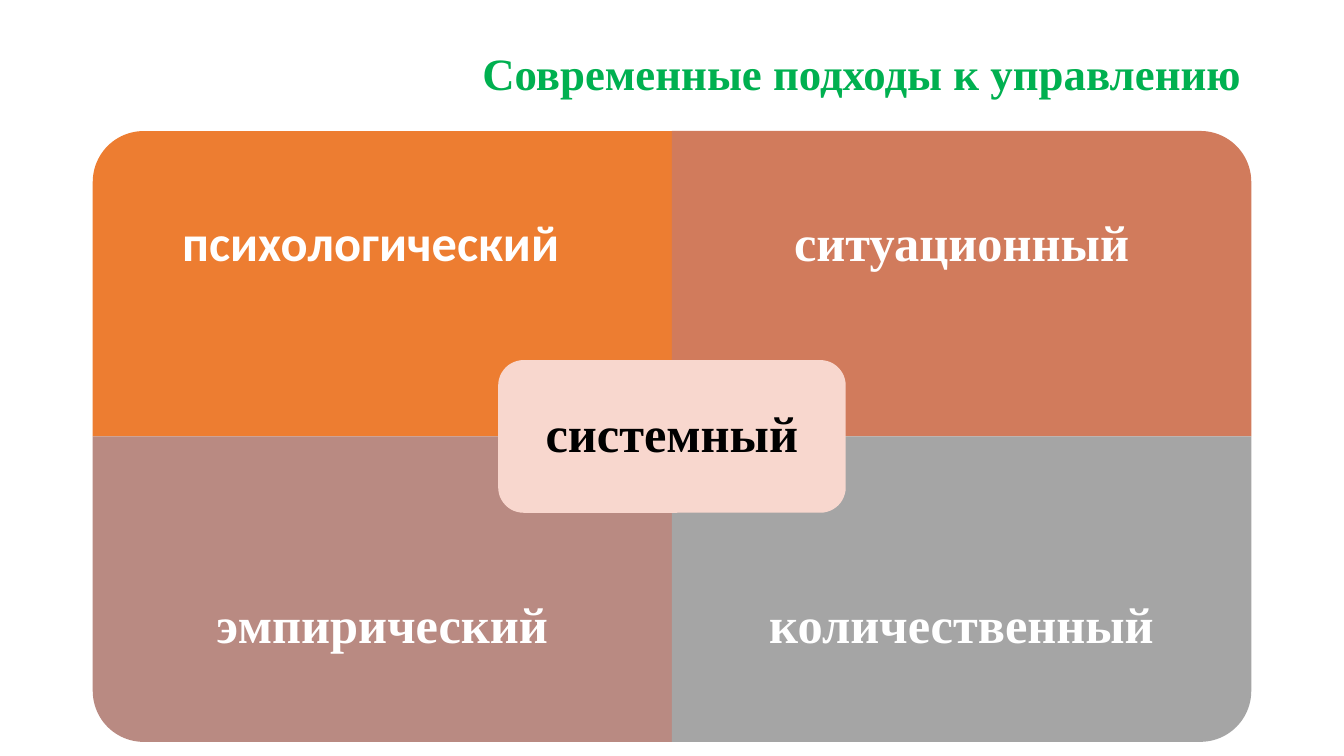
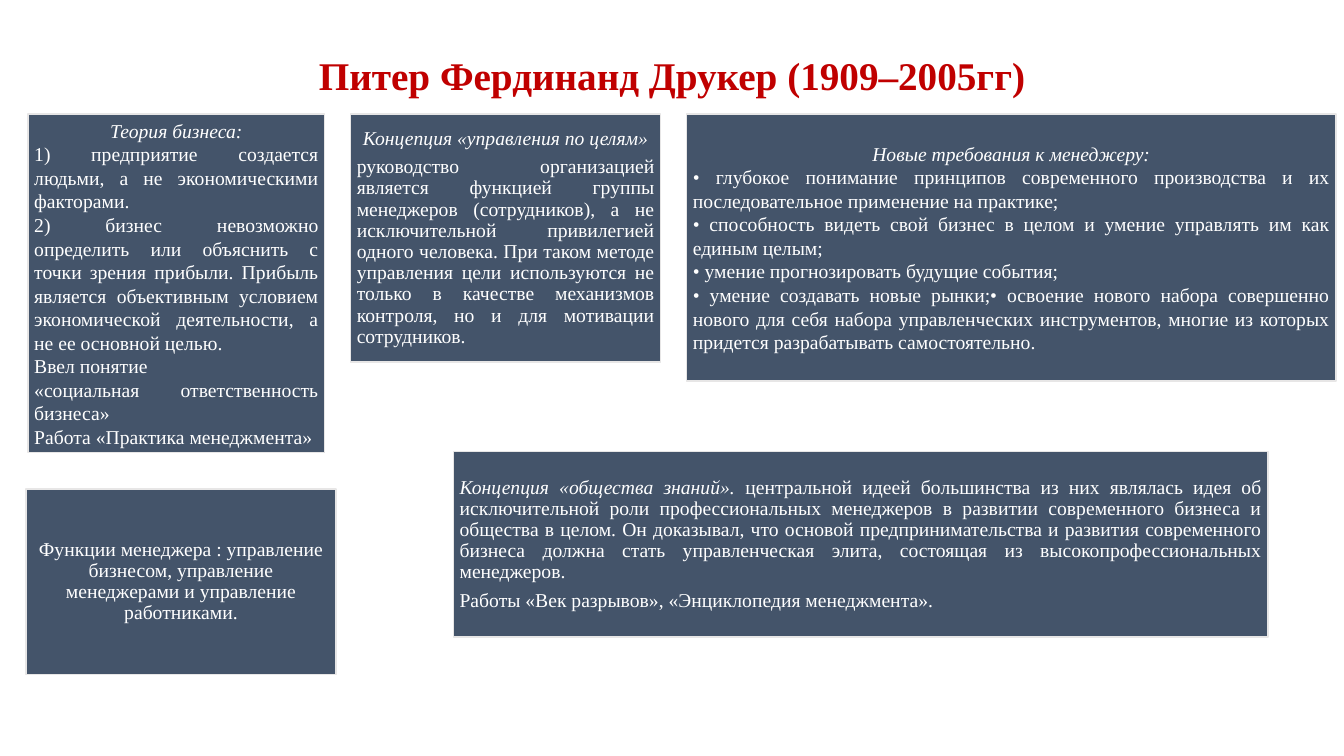
from pptx import Presentation
from pptx.dml.color import RGBColor
from pptx.enum.shapes import MSO_SHAPE
from pptx.enum.text import MSO_ANCHOR, PP_ALIGN
from pptx.util import Inches, Pt

GREEN = RGBColor(0x00, 0xB0, 0x50)
RED = RGBColor(0xC0, 0x00, 0x00)
ORANGE = RGBColor(0xED, 0x7D, 0x31)
TERRACOTTA = RGBColor(0xD1, 0x7B, 0x5C)
ROSE = RGBColor(0xB9, 0x8A, 0x82)
GREY = RGBColor(0xA5, 0xA5, 0xA5)
PINK = RGBColor(0xF8, 0xD7, 0xCE)
SLATE = RGBColor(0x44, 0x54, 0x6A)
PALE = RGBColor(0xE7, 0xE6, 0xE6)
WHITE = RGBColor(0xFF, 0xFF, 0xFF)
BLACK = RGBColor(0x00, 0x00, 0x00)

SERIF, SANS = "Times New Roman", "Calibri"
CENTER, RIGHT, JUSTIFY = PP_ALIGN.CENTER, PP_ALIGN.RIGHT, PP_ALIGN.JUSTIFY

TITLE = {"name": SERIF, "size": Pt(32), "bold": True}
LABEL = {"name": SERIF, "size": Pt(36), "bold": True}
BODY = {"name": SERIF, "size": Pt(14)}
TIGHT = {"line_spacing": 0.9}
SPACED = {"line_spacing": 0.9, "space_after": Pt(5)}
SINGLE = {"line_spacing": 1.0}


class Slides:
    """Holds the style and the current page; places are percent of the page."""

    def __init__(self):
        self.deck = Presentation()
        self.deck.slide_width, self.deck.slide_height = Inches(13.33), Inches(7.5)
        self.page = None

    def new_page(self):
        self.page = self.deck.slides.add_slide(self.deck.slide_layouts[6])

    def place(self, left, top, width, height):
        across, down = self.deck.slide_width / 100, self.deck.slide_height / 100
        return [round(share * unit) for share, unit in
                zip((left, top, width, height), (across, down, across, down))]

    def fill_text(self, box, paragraphs, font, color, spacing, insets):
        """Fill a box from (alignment, italic text, upright text) paragraphs."""
        frame = box.text_frame
        frame.word_wrap = True
        frame.vertical_anchor = MSO_ANCHOR.MIDDLE
        for side, inset in zip(("left", "top", "right", "bottom"), insets):
            setattr(frame, f"margin_{side}", Inches(inset))
        for index, (alignment, italic_text, upright_text) in enumerate(paragraphs):
            para = frame.add_paragraph() if index else frame.paragraphs[0]
            for key, value in {"alignment": alignment, **spacing}.items():
                setattr(para, key, value)
            for text, italic in ((italic_text, True), (upright_text, False)):
                if text:
                    span = para.add_run()
                    span.text = text
                    for key, value in {**font, "italic": italic}.items():
                        setattr(span.font, key, value)
                    span.font.color.rgb = color

    def shape(self, kind, place, fill, line=None):
        box = self.page.shapes.add_shape(kind, *place)
        box.shadow.inherit = False
        box.fill.solid()
        box.fill.fore_color.rgb = fill
        if line is None:
            box.line.fill.background()
        else:
            box.line.color.rgb = line
            box.line.width = Pt(1)
        return box

    def title(self, text, color, alignment, size, height):
        box = self.page.shapes.add_textbox(*self.place(6.9, 5.3, 86.2, height))
        self.fill_text(box, [(alignment, "", text)], {**TITLE, "size": Pt(size)},
                       color, TIGHT, (0.1, 0.05, 0.1, 0.05))

    def quadrant(self, area, rotation, fill):
        """Cover an area with a one-round-corner shape turned outwards."""
        left, top, width, height = self.place(*area)
        if rotation % 180:
            shift = (width - height) // 2
            left, top, width, height = left + shift, top - shift, height, width
        box = self.shape(MSO_SHAPE.ROUND_1_RECTANGLE, (left, top, width, height), fill)
        box.rotation = rotation

    def label(self, area, text, font_name, extra_right):
        box = self.page.shapes.add_textbox(*self.place(*area))
        self.fill_text(box, [(CENTER, "", text)], {**LABEL, "name": font_name}, WHITE,
                       SPACED, (0.28, 0.28, 0.28 + extra_right, 0.28))

    def hub(self, area, text, fill):
        box = self.shape(MSO_SHAPE.ROUNDED_RECTANGLE, self.place(*area), fill)
        self.fill_text(box, [(CENTER, "", text)], LABEL, BLACK, SPACED, (0.15,) * 4)

    def panel(self, area, spacing, paragraphs):
        box = self.shape(MSO_SHAPE.RECTANGLE, self.place(*area), SLATE, PALE)
        self.fill_text(box, paragraphs, BODY, WHITE, spacing, (0.06,) * 4)


APPROACHES = [
    ("психологический", 270, ORANGE, SANS, 0.23),
    ("ситуационный", 0, TERRACOTTA, SERIF, 0),
    ("эмпирический", 180, ROSE, SERIF, 0),
    ("количественный", 90, GREY, SERIF, 0),
]

PANELS = [
    ((2.1, 15.1, 22.05, 44.8), SINGLE, [
        (CENTER, "Теория бизнеса:", ""),
        (JUSTIFY, "", "1) предприятие создается людьми, а не экономическими факторами."),
        (JUSTIFY, "", "2) бизнес невозможно определить или объяснить с точки зрения "
                      "прибыли. Прибыль является объективным условием экономической "
                      "деятельности, а не ее основной целью."),
        (JUSTIFY, "", "Ввел понятие"),
        (JUSTIFY, "", "«социальная ответственность бизнеса»"),
        (JUSTIFY, "", "Работа «Практика менеджмента»"),
    ]),
    ((26.1, 15.1, 23.05, 32.8), SPACED, [
        (CENTER, "Концепция «управления по целям»", ""),
        (JUSTIFY, "", "руководство организацией является функцией группы менеджеров "
                      "(сотрудников), а не исключительной привилегией одного человека. "
                      "При таком методе управления цели используются не только в качестве "
                      "механизмов контроля, но и для мотивации сотрудников."),
    ]),
    ((51.1, 15.1, 48.3, 35.3), SINGLE, [
        (CENTER, "Новые требования к менеджеру:", ""),
        (JUSTIFY, "", "• глубокое понимание принципов современного производства и их "
                      "последовательное применение на практике;"),
        (JUSTIFY, "", "• способность видеть свой бизнес в целом и умение "
                      "управлять им как единым целым;"),
        (JUSTIFY, "", "• умение прогнозировать будущие события;"),
        (JUSTIFY, "", "• умение создавать новые рынки;• освоение нового набора совершенно "
                      "нового для себя набора управленческих инструментов, многие из "
                      "которых придется разрабатывать самостоятельно."),
    ]),
    ((1.95, 64.7, 23.05, 24.5), SPACED, [
        (CENTER, "", "Функции менеджера : управление бизнесом, управление менеджерами "
                     "и управление работниками."),
    ]),
    ((33.75, 59.75, 60.6, 24.5), SPACED, [
        (JUSTIFY, "Концепция «общества знаний». ",
         "центральной идеей большинства из них являлась идея об исключительной роли "
         "профессиональных менеджеров в развитии современного бизнеса и общества в целом. "
         "Он доказывал, что основой предпринимательства и развития современного бизнеса "
         "должна стать управленческая элита, состоящая из высокопрофессиональных "
         "менеджеров."),
        (JUSTIFY, "", "Работы «Век разрывов», «Энциклопедия менеджмента»."),
    ]),
]


def add_approaches(slides):
    slides.new_page()
    slides.title("Современные подходы к управлению", GREEN, RIGHT, 32, 9.5)
    left, top, width, height = 6.9, 17.33, 43.1, 40.4
    label_height = height * 0.75
    for index, (text, rotation, fill, font_name, extra_right) in enumerate(APPROACHES):
        row, column = divmod(index, 2)
        x, y = left + column * width, top + row * height
        slides.quadrant((x, y, width, height), rotation, fill)
        label_top = y + row * (height - label_height)
        slides.label((x, label_top, width, label_height), text, font_name, extra_right)
    hub_width, hub_height = width * 0.6, height / 2
    slides.hub((left + width - hub_width / 2, top + height - hub_height / 2,
                hub_width, hub_height), "системный", PINK)


def add_thinker(slides):
    slides.new_page()
    slides.title("Питер Фердинанд Друкер (1909–2005гг)", RED, CENTER, 28, 9.9)
    for area, spacing, paragraphs in PANELS:
        slides.panel(area, spacing, paragraphs)


def main():
    slides = Slides()
    add_approaches(slides)
    add_thinker(slides)
    slides.deck.save("out.pptx")


if __name__ == "__main__":
    main()
